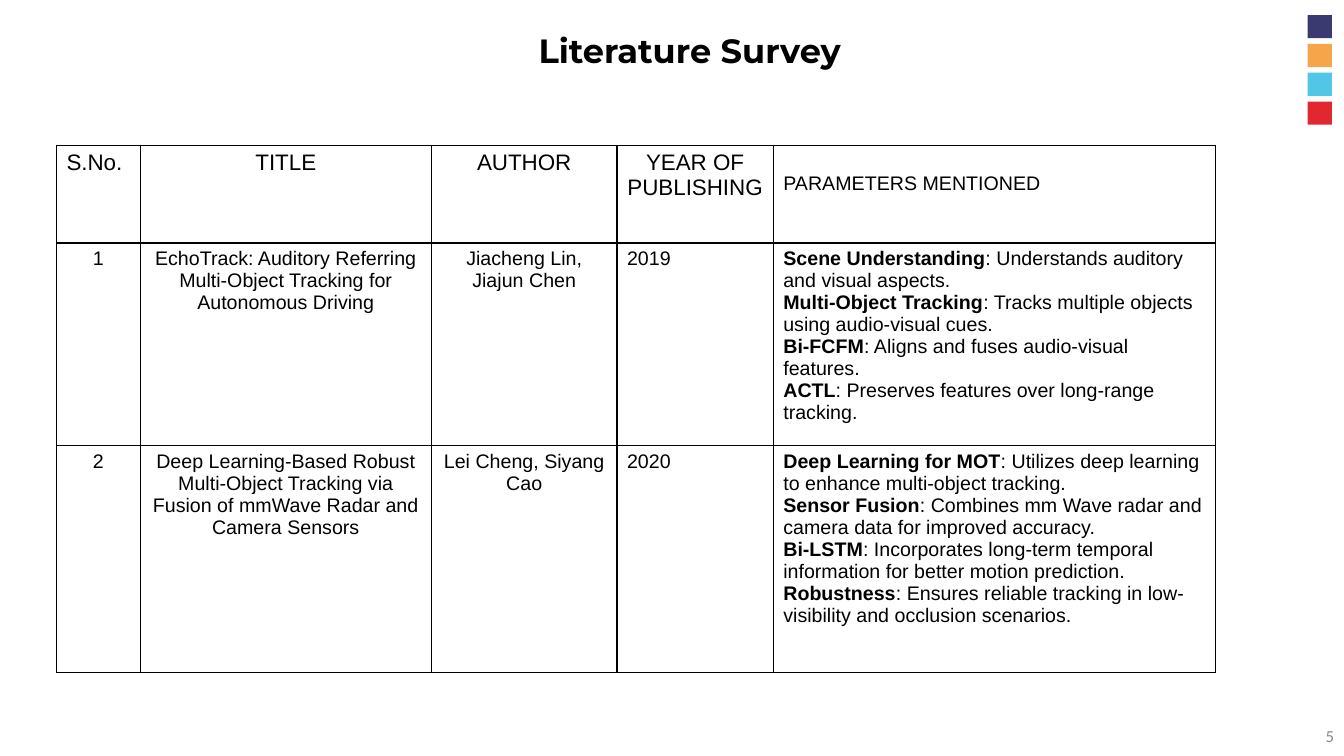
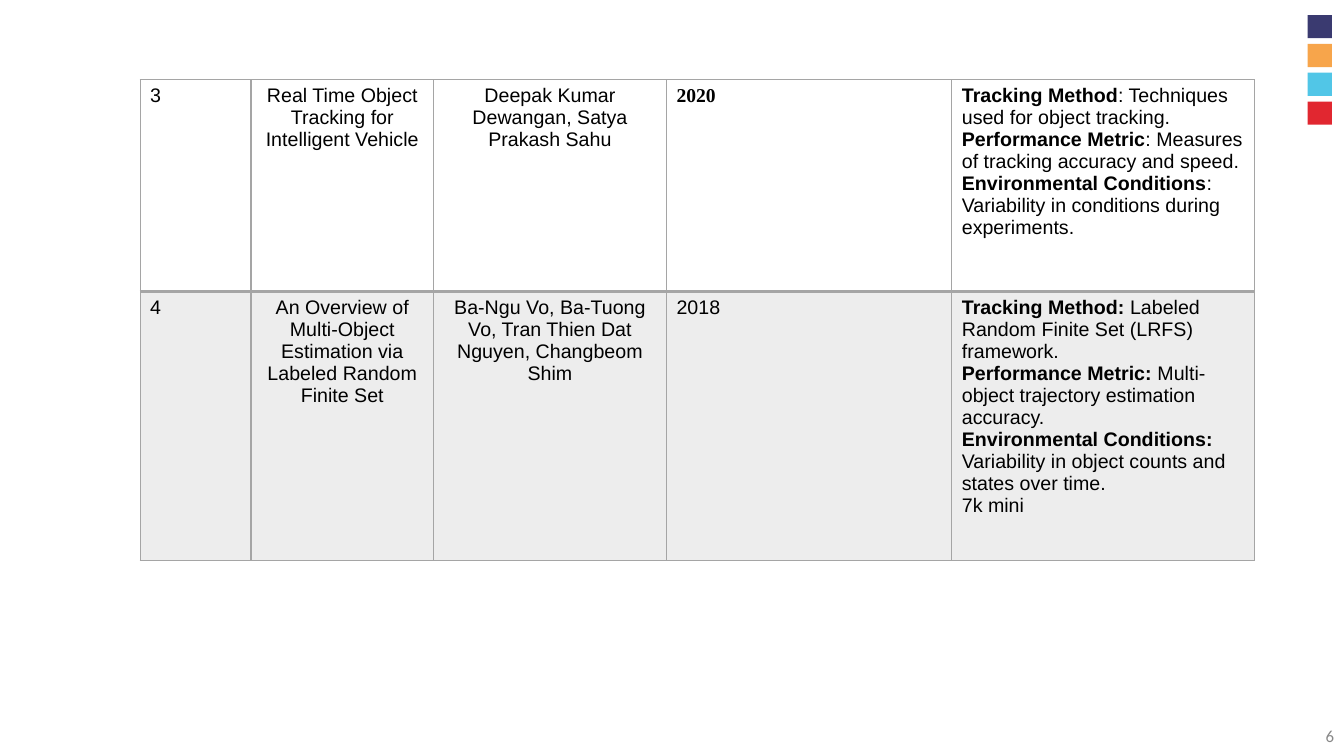
from lxml.etree import SubElement as Sub
from pptx import Presentation
from pptx.dml.color import RGBColor
from pptx.enum.shapes import MSO_SHAPE as Shape
from pptx.enum.text import MSO_ANCHOR as Anchor, PP_ALIGN as Align
from pptx.oxml.ns import qn
from pptx.util import Inches, Pt

# Shared look
BLACK, WHITE, GREY, PALE, DIM = "000000", "FFFFFF", "A5A5A5", "EDEDED", "888888"
SQUARES = ["3A3A70", "F7A54B", "51C6E7", "E12730"]
LEFT, MID, RIGHT = Align.LEFT, Align.CENTER, Align.RIGHT

# Each parameter is a bold lead and the plain text after it
SURVEY = [
    ["1",
     "EchoTrack: Auditory Referring Multi-Object Tracking for Autonomous Driving",
     "Jiacheng Lin, Jiajun Chen", "2019",
     [("Scene Understanding", ": Understands auditory and visual aspects."),
      ("Multi-Object Tracking", ": Tracks multiple objects using audio-visual cues."),
      ("Bi-FCFM", ": Aligns and fuses audio-visual features."),
      ("ACTL", ": Preserves features over long-range tracking.")]],
    ["2",
     "Deep Learning-Based Robust Multi-Object Tracking via Fusion of mmWave "
     "Radar and Camera Sensors",
     "Lei Cheng, Siyang Cao", "2020",
     [("Deep Learning for MOT",
       ": Utilizes deep learning to enhance multi-object tracking."),
      ("Sensor Fusion",
       ": Combines mm Wave radar and camera data for improved accuracy."),
      ("Bi-LSTM",
       ": Incorporates long-term temporal information for better motion prediction."),
      ("Robustness",
       ": Ensures reliable tracking in low-visibility and occlusion scenarios.")]],
    ["3", "Real Time Object Tracking for Intelligent Vehicle",
     "Deepak Kumar Dewangan, Satya Prakash Sahu", "2020",
     [("Tracking Method", ": Techniques used for object tracking."),
      ("Performance Metric", ": Measures of tracking accuracy and speed."),
      ("Environmental Conditions", ": Variability in conditions during experiments.")]],
    ["4", "An Overview of Multi-Object Estimation via Labeled Random Finite Set",
     "Ba-Ngu Vo, Ba-Tuong Vo, Tran Thien Dat Nguyen, Changbeom Shim", "2018",
     [("Tracking Method:", " Labeled Random Finite Set (LRFS) framework."),
      ("Performance Metric:", " Multi-object trajectory estimation accuracy."),
      ("Environmental Conditions:",
       " Variability in object counts and states over time."),
      ("", "7k mini")]],
]
HEADS = ["S.No.", "TITLE", "AUTHOR", "YEAR OF PUBLISHING", "PARAMETERS MENTIONED"]


def color(code):
    return RGBColor.from_string(code)


def style(para, size, face="Arial", ink=BLACK, bold=False, align=LEFT):
    para.alignment = align
    font = para.font
    font.size, font.name, font.bold = Pt(size), face, bold
    font.color.rgb = color(ink)


def label(slide, text, box, anchor=Anchor.TOP, **look):
    frame = slide.shapes.add_textbox(*map(Inches, box)).text_frame
    frame.word_wrap = True
    frame.vertical_anchor = anchor
    frame.text = text
    style(frame.paragraphs[0], **look)


def base(deck, number):
    """Blank slide with the colour squares and its number."""
    slide = deck.slides.add_slide(deck.slide_layouts[6])
    for i, code in enumerate(SQUARES):
        box = (12.97, 0.15 + i * 0.286, 0.24, 0.23)
        square = slide.shapes.add_shape(Shape.RECTANGLE, *map(Inches, box))
        square.shadow.inherit = False
        square.fill.solid()
        square.fill.fore_color.rgb = color(code)
        square.line.fill.background()
    label(slide, str(number), (10.33, 7.1, 3, 0.4), Anchor.MIDDLE,
          size=12, face="Calibri", ink=DIM, align=RIGHT)
    return slide


def border(cell, ink, **widths):
    props = cell._tc.get_or_add_tcPr()
    for side, width in widths.items():
        line = Sub(props, qn("a:ln" + side), w=str(Pt(width)))
        Sub(Sub(line, qn("a:solidFill")), qn("a:srgbClr"), val=ink)


def write(cell, content, align):
    """Fill a cell with plain text or with a list of (lead, rest)."""
    items = [("", content)] if isinstance(content, str) else content
    frame = cell.text_frame
    for i, (lead, rest) in enumerate(items):
        para = frame.add_paragraph() if i else frame.paragraphs[0]
        style(para, 14, align=align)
        if lead:
            run = para.add_run()
            run.text, run.font.bold = lead, True
        para.add_run().text = rest


def grid(slide, rows, spot, cols, tall, aligns, ink, fills, inner=1):
    size = (sum(cols), sum(tall))
    table = slide.shapes.add_table(
        len(rows), len(cols), *map(Inches, spot + size)).table
    table.first_row = table.horz_banding = False
    for col, width in zip(table.columns, cols):
        col.width = Inches(width)
    last = len(rows) - 1
    for r, row in enumerate(rows):
        table.rows[r].height = Inches(tall[r])
        for c, content in enumerate(row):
            cell = table.cell(r, c)
            border(cell, ink, L=1, R=1, T=inner if r else 1,
                   B=inner if r < last else 1)
            cell.fill.solid()
            cell.fill.fore_color.rgb = color(fills[r])
            write(cell, content, aligns[c])
    return table


def main():
    deck = Presentation()
    deck.slide_width, deck.slide_height = Inches(13.33), Inches(7.5)

    # Title and first two papers
    slide = base(deck, 5)
    label(slide, "Literature Survey", (1.09, 0.25, 11.5, 0.54),
          size=24, face="Montserrat", bold=True, align=MID)
    table = grid(slide, [HEADS] + SURVEY[:2], (0.56, 1.44),
                 [0.83, 2.89, 1.84, 1.55, 4.39], [0.97, 2.01, 2.25],
                 [MID, MID, MID, LEFT, LEFT], BLACK, [WHITE] * 3)
    for c, align in enumerate([LEFT, MID, MID, MID]):
        style(table.cell(0, c).text_frame.paragraphs[0], 16, align=align)
    table.cell(0, 4).margin_top = Inches(0.27)

    # Last two papers
    slide = base(deck, 6)
    table = grid(slide, SURVEY[2:], (1.39, 0.79),
                 [1.1, 1.81, 2.31, 2.83, 3], [2.1, 2.67],
                 [LEFT, MID, MID, LEFT, LEFT], GREY, [WHITE, PALE], inner=2)
    style(table.cell(0, 3).text_frame.paragraphs[0], 14,
          face="Times New Roman", bold=True)

    deck.save("out.pptx")


if __name__ == "__main__":
    main()
